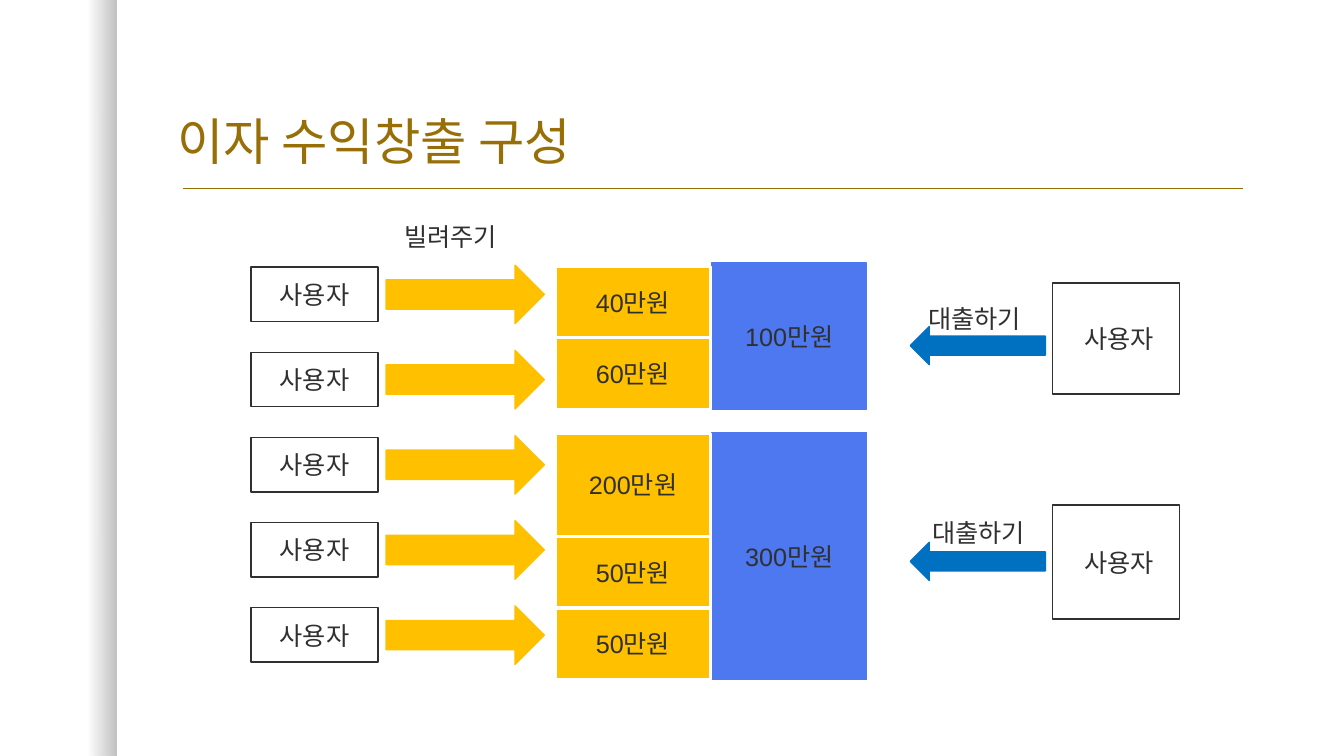
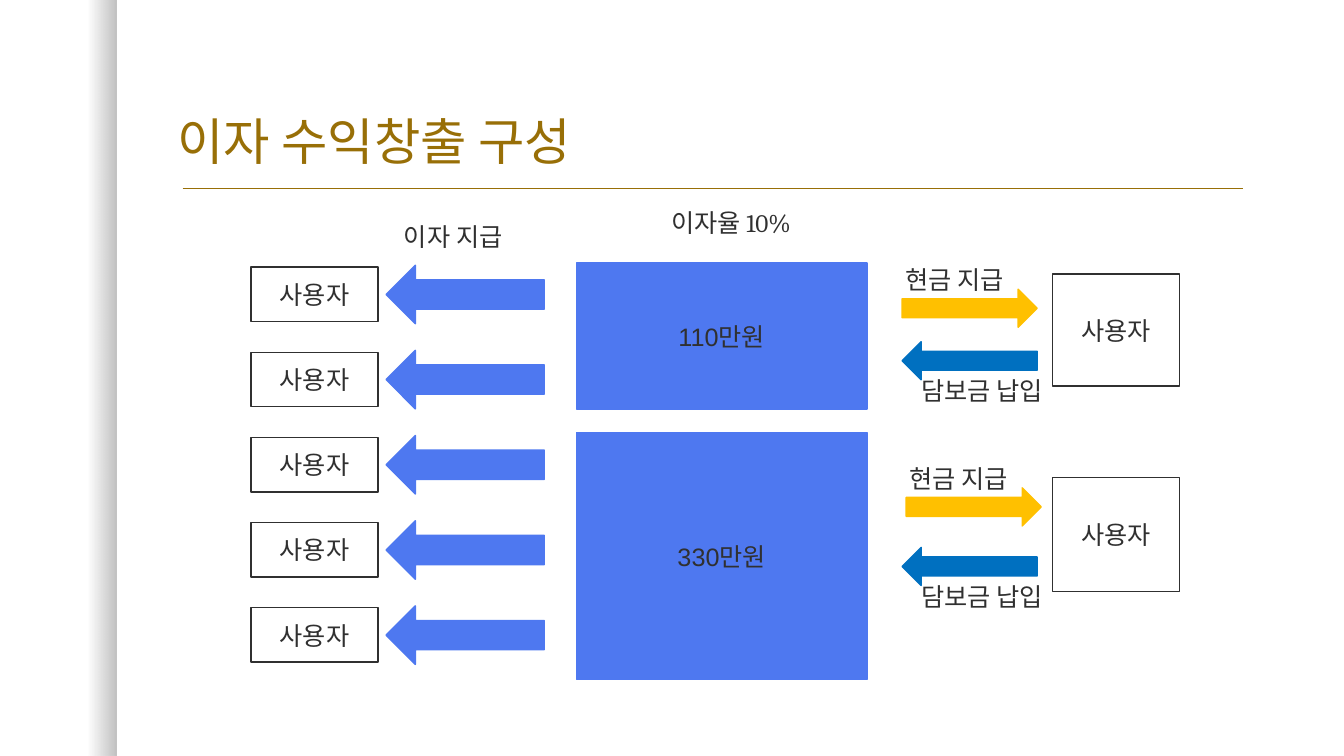
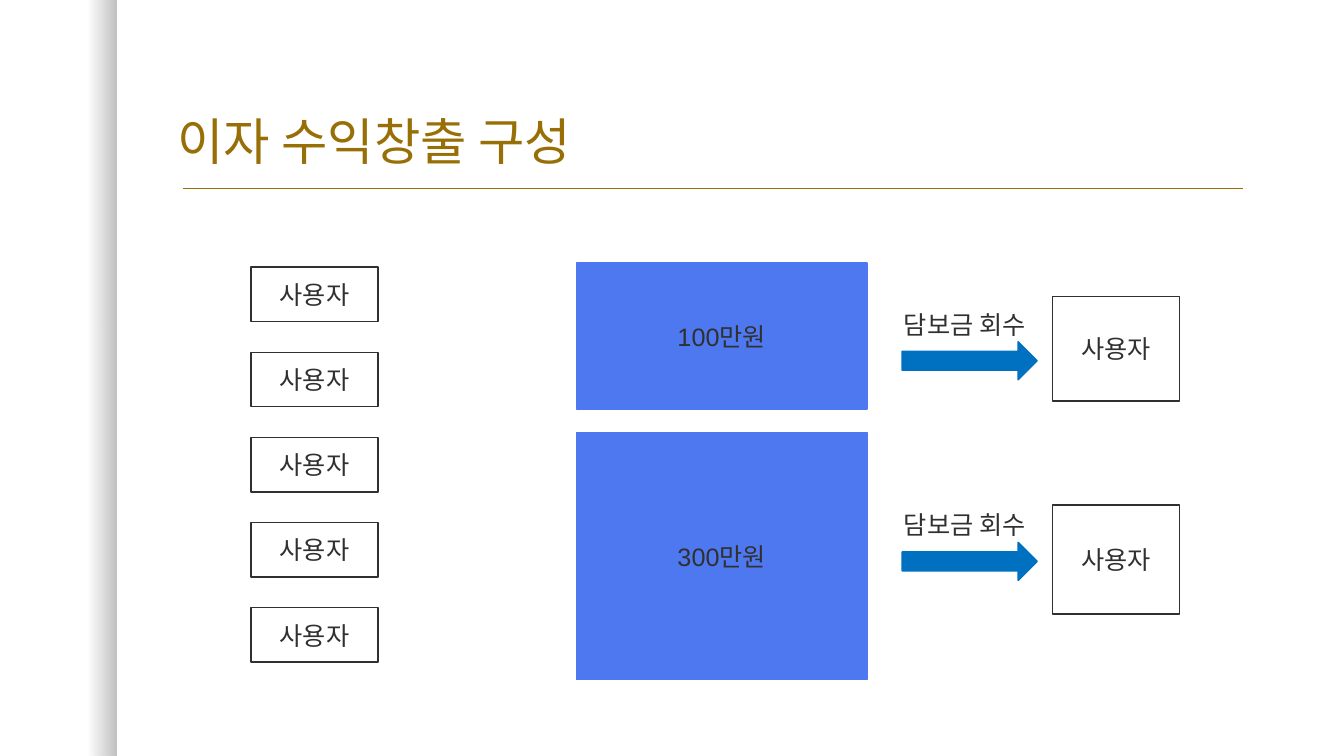
import dataclasses

import lxml.etree
import pptx
import pptx.dml.color
import pptx.enum.shapes
import pptx.enum.text
import pptx.oxml.ns
import pptx.util

Pt = pptx.util.Pt
RGBColor = pptx.dml.color.RGBColor
ShapeType = pptx.enum.shapes.MSO_SHAPE
Alignment = pptx.enum.text.PP_ALIGN
Anchor = pptx.enum.text.MSO_ANCHOR
qn = pptx.oxml.ns.qn


@dataclasses.dataclass(frozen=True)
class Theme:
    title_font: str = "Noto Sans CJK KR"
    box_font: str = "Arial"
    label_font: str = "Cambria"
    title_size: int = 36
    text_size: int = 18
    gold: str = "986F07"
    ink: str = "303030"
    white: str = "FFFFFF"
    black: str = "000000"
    yellow: str = "FFC000"
    blue: str = "4E78F0"
    deep_blue: str = "0070C0"


THEME = Theme()
TITLE = "이자 수익창출 구성"
USER = "사용자"
USER_COUNT = 5
USER_TOP, USER_PITCH = 190.8, 60.84
POOL_RIGHT = 619.2
POOL_ROWS = ((187.9, 104.4), (308.9, 176.4))
INSET = 7.2


def color(value):
    return RGBColor.from_string(value)


def format_paragraph(paragraph, text, font_name, size, text_color):
    paragraph.text = text
    font = paragraph.font
    font.name = font_name
    font.size = Pt(size)
    font.color.rgb = color(text_color)
    properties = paragraph._p.pPr.find(qn("a:defRPr"))
    lxml.etree.SubElement(properties, qn("a:ea"), typeface=THEME.title_font)


def add_block(slide, kind, left, top, width, height, fill, line, line_width=1):
    shape = slide.shapes.add_shape(kind, Pt(left), Pt(top), Pt(width), Pt(height))
    shape.shadow.inherit = False
    shape.fill.solid()
    shape.fill.fore_color.rgb = color(fill)
    shape.line.color.rgb = color(line)
    shape.line.width = Pt(line_width)
    return shape


def add_box(slide, text, left, top, width, height, fill, line,
            line_width=1, left_inset=INSET):
    shape = add_block(slide, ShapeType.RECTANGLE, left, top, width, height,
                      fill, line, line_width)
    frame = shape.text_frame
    frame.margin_left = Pt(left_inset)
    frame.vertical_anchor = Anchor.MIDDLE
    paragraph = frame.paragraphs[0]
    paragraph.alignment = Alignment.CENTER
    format_paragraph(paragraph, text, THEME.box_font, THEME.text_size, THEME.ink)


def add_arrow(slide, kind, left, top, width, height, fill):
    add_block(slide, kind, left, top, width, height, fill, fill)


def add_label(slide, text, left, top, width):
    box = slide.shapes.add_textbox(Pt(left), Pt(top), Pt(width), Pt(28.8))
    box.text_frame.word_wrap = False
    box.text_frame.auto_size = pptx.enum.text.MSO_AUTO_SIZE.SHAPE_TO_FIT_TEXT
    format_paragraph(box.text_frame.paragraphs[0], text, THEME.label_font,
                     THEME.text_size, THEME.ink)


def add_users(slide):
    for index in range(USER_COUNT):
        add_box(slide, USER, 179.3, USER_TOP + index * USER_PITCH, 90.7, 38.9,
                THEME.white, THEME.ink)


def add_user_arrows(slide, kind, fill):
    for index in range(USER_COUNT):
        add_arrow(slide, kind, 275.8, USER_TOP - 1.4 + index * USER_PITCH,
                  113, 41.8, fill)


def add_pools(slide, texts, width):
    for text, (top, height) in zip(texts, POOL_ROWS):
        add_box(slide, text, POOL_RIGHT - width, top, width, height,
                THEME.blue, THEME.blue)


def add_lots(slide, top, lots):
    for text, height in lots:
        add_box(slide, text, 396.7, top, 110.9, height,
                THEME.yellow, THEME.white, 2.25)
        top += height


def add_borrower(slide, top, height, left_inset=INSET):
    add_box(slide, USER, 751.7, top, 90.7, height, THEME.white, THEME.ink,
            left_inset=left_inset)


def add_flow(slide, kind, left, top, fill, text, label_left, label_top, label_width):
    add_arrow(slide, kind, left, top, 96.5, 27.2, fill)
    add_label(slide, text, label_left, label_top, label_width)


def add_titled_slide(presentation, layout):
    slide = presentation.slides.add_slide(layout)
    frame = slide.shapes.title.text_frame
    frame.vertical_anchor = Anchor.BOTTOM
    paragraph = frame.paragraphs[0]
    paragraph.alignment = Alignment.LEFT
    paragraph.line_spacing = 0.9
    format_paragraph(paragraph, TITLE, THEME.title_font, THEME.title_size, THEME.gold)
    return slide


def decorate_layout(layout, slide):
    title = layout.placeholders[0]
    title.left, title.top, title.width, title.height = (
        Pt(119.5), Pt(30.2), Pt(774), Pt(95.8))

    band = add_block(slide, ShapeType.RECTANGLE, 0, 0, 83.5, 540,
                     THEME.white, THEME.white)
    band.line.fill.background()
    band.fill.gradient()
    band.fill.gradient_angle = 0
    for stop, position in zip(band.fill.gradient_stops, (0.75, 1)):
        stop.position = position
        stop.color.rgb = color(THEME.black)
    stop_colors = band.element.spPr.find(qn("a:gradFill")).iter(qn("a:srgbClr"))
    for stop_color, alpha in zip(list(stop_colors), ("0", "25000")):
        lxml.etree.SubElement(stop_color, qn("a:alpha"), val=alpha)

    rule = slide.shapes.add_connector(pptx.enum.shapes.MSO_CONNECTOR.STRAIGHT,
                                      Pt(130.5), Pt(134.6), Pt(887.8), Pt(134.6))
    rule.line.color.rgb = color(THEME.gold)
    rule.line.width = Pt(1)
    lxml.etree.SubElement(rule.element.spPr, qn("a:effectLst"))

    for position, shape in enumerate((band, rule), start=2):
        layout.shapes.element.insert(position, shape.element)


def build_lending(slide):
    add_users(slide)
    add_user_arrows(slide, ShapeType.RIGHT_ARROW, THEME.yellow)
    add_label(slide, "빌려주기", 281.5, 154.8, 87.1)
    add_pools(slide, ("100만원", "300만원"), 110.9)
    add_lots(slide, 190.1, (("40만원", 51.1), ("60만원", 51.1)))
    add_lots(slide, 309.6, (("200만원", 73.6), ("50만원", 51.1), ("50만원", 51.1)))
    for top, height, arrow_top, label_left, label_top in (
            (202.3, 79.2, 233.3, 655.9, 213.1),
            (360.7, 81.4, 387.4, 658.8, 365.8)):
        add_borrower(slide, top, height, left_inset=12.2)
        add_flow(slide, ShapeType.LEFT_ARROW, 650.2, arrow_top, THEME.deep_blue,
                 "대출하기", label_left, label_top, 87.1)


def build_interest(slide):
    add_users(slide)
    add_user_arrows(slide, ShapeType.LEFT_ARROW, THEME.blue)
    add_label(slide, "이자 지급", 281.5, 154.8, 91.4)
    add_label(slide, "이자율 10%", 472.3, 144.7, 109.4)
    add_pools(slide, ("110만원", "330만원"), 207.4)
    for top, height, cash_left, cash_top, deposit_top in (
            (195.8, 79.9, 644.4, 206.6, 244.1),
            (341.3, 81.4, 647.3, 348.5, 391)):
        add_borrower(slide, top, height)
        add_flow(slide, ShapeType.LEFT_ARROW, 644.4, deposit_top, THEME.deep_blue,
                 "담보금 납입", 651.2, deposit_top + 20.5, 109.4)
        add_flow(slide, ShapeType.RIGHT_ARROW, cash_left, cash_top, THEME.yellow,
                 "현금 지급", cash_left - 5, cash_top - 21.2, 91.4)


def build_return(slide):
    add_users(slide)
    add_pools(slide, ("100만원", "300만원"), 207.4)
    for top, height, arrow_top, label_top in (
            (211.7, 74.9, 244.1, 217.4),
            (360.7, 77.8, 387.4, 360)):
        add_borrower(slide, top, height)
        add_flow(slide, ShapeType.RIGHT_ARROW, 644.4, arrow_top, THEME.deep_blue,
                 "담보금 회수", 638.6, label_top, 109.4)


def main():
    presentation = pptx.Presentation()
    presentation.slide_width = Pt(960)
    presentation.slide_height = Pt(540)
    layout = presentation.slide_layouts[5]
    slides = [add_titled_slide(presentation, layout) for _ in range(3)]
    decorate_layout(layout, slides[0])
    for build, slide in zip((build_lending, build_interest, build_return), slides):
        build(slide)
    presentation.save("out.pptx")


if __name__ == "__main__":
    main()
